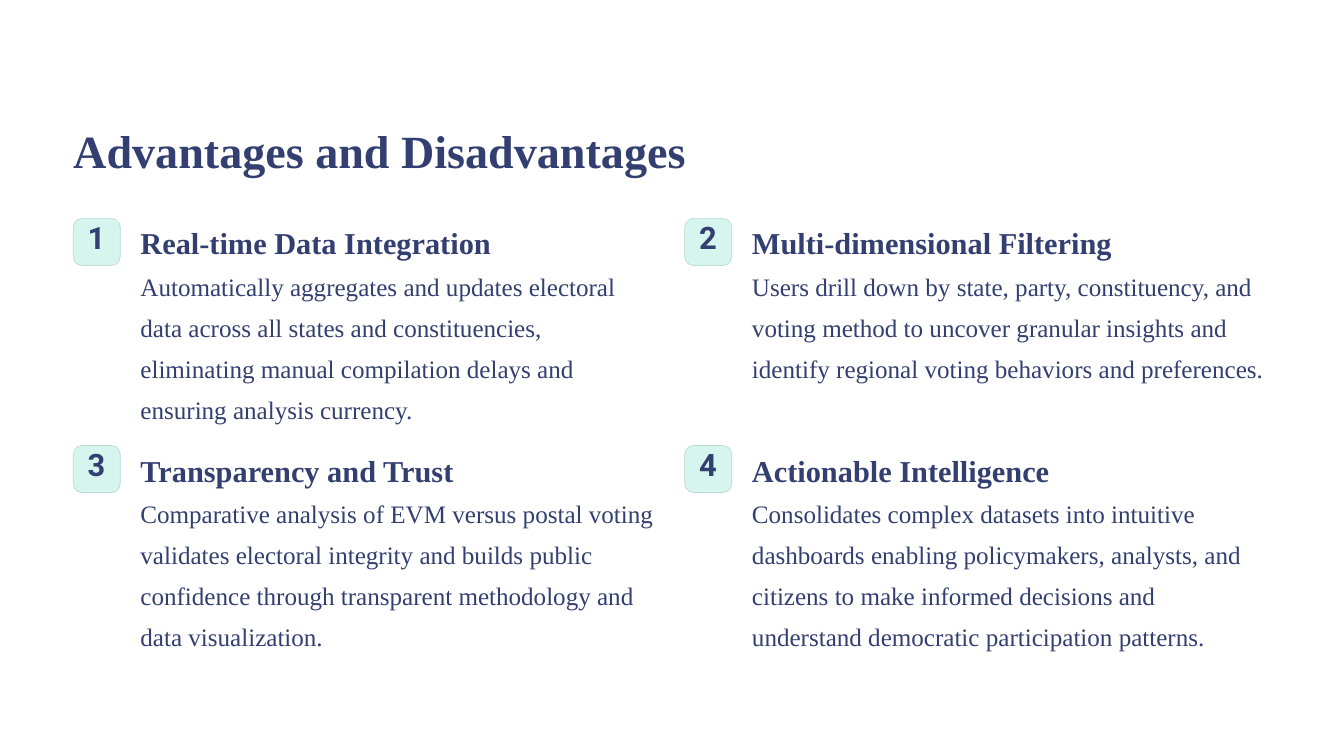
"""Build the Advantages and Disadvantages slide as a two-by-two grid of numbered points."""

from dataclasses import dataclass

import pptx
import pptx.dml.color
import pptx.enum.shapes
import pptx.enum.text
import pptx.slide
import pptx.util

COLORS = {"background": "FFFFFF", "badge": "D6F5EE", "border": "BCDBD4", "text": "333F70"}
SLIDE_WIDTH, SLIDE_HEIGHT = 20, 11.25
GRID_LEFT, GRID_TOP = 1.09, 3.25
COLUMN_STEP, ROW_STEP = 9.1, 3.38
BADGE_SIZE = 0.7
TEXT_OFFSET = 1.0
BODY_LINE_HEIGHT = 0.6


@dataclass(frozen=True)
class TextStyle:
    font: str
    size: float
    line_spacing: float
    bold: bool = True
    centered: bool = False


@dataclass(frozen=True)
class Point:
    column: int
    row: int
    heading: str
    body: str
    body_lines: int = 4


TITLE = TextStyle("Times New Roman", 49.4, 61.9)
NUMBER = TextStyle("Roboto", 33.1, 33.1, centered=True)
HEADING = TextStyle("Times New Roman", 32.5, 40.6)
BODY = TextStyle("Times New Roman", 26.9, 43.8, bold=False)

POINTS = [
    Point(0, 0, "Real-time Data Integration",
          "Automatically aggregates and updates electoral data across all states and "
          "constituencies, eliminating manual compilation delays and ensuring analysis currency."),
    Point(1, 0, "Multi-dimensional Filtering",
          "Users drill down by state, party, constituency, and voting method to uncover "
          "granular insights and identify regional voting behaviors and preferences.", 3),
    Point(0, 1, "Transparency and Trust",
          "Comparative analysis of EVM versus postal voting validates electoral integrity and "
          "builds public confidence through transparent methodology and data visualization."),
    Point(1, 1, "Actionable Intelligence",
          "Consolidates complex datasets into intuitive dashboards enabling policymakers, "
          "analysts, and citizens to make informed decisions and understand democratic "
          "participation patterns."),
]


def color(name: str) -> pptx.dml.color.RGBColor:
    return pptx.dml.color.RGBColor.from_string(COLORS[name])


def add_text(slide: pptx.slide.Slide, text: str, style: TextStyle,
             left: float, top: float, width: float, height: float) -> None:
    shape = slide.shapes.add_textbox(*map(pptx.util.Inches, (left, top, width, height)))
    frame = shape.text_frame
    frame.word_wrap = True
    frame.auto_size = pptx.enum.text.MSO_AUTO_SIZE.SHAPE_TO_FIT_TEXT
    frame.margin_left = frame.margin_top = frame.margin_right = frame.margin_bottom = 0
    paragraph = frame.paragraphs[0]
    paragraph.text = text
    paragraph.line_spacing = pptx.util.Pt(style.line_spacing)
    if style.centered:
        paragraph.alignment = pptx.enum.text.PP_ALIGN.CENTER
    paragraph.font.name = style.font
    paragraph.font.size = pptx.util.Pt(style.size)
    paragraph.font.bold = style.bold
    paragraph.font.color.rgb = color("text")


def add_badge(slide: pptx.slide.Slide, number: int, left: float, top: float) -> None:
    shape = slide.shapes.add_shape(
        pptx.enum.shapes.MSO_SHAPE.ROUNDED_RECTANGLE,
        *map(pptx.util.Inches, (left, top, BADGE_SIZE, BADGE_SIZE)))
    shape.adjustments[0] = 0.19
    shape.shadow.inherit = False
    shape.fill.solid()
    shape.fill.fore_color.rgb = color("badge")
    shape.line.color.rgb = color("border")
    shape.line.width = pptx.util.Pt(0.75)
    add_text(slide, str(number), NUMBER, left + 0.11, top + 0.1, 0.47, 0.54)


def add_point(slide: pptx.slide.Slide, number: int, point: Point) -> None:
    left = GRID_LEFT + point.column * COLUMN_STEP
    top = GRID_TOP + point.row * ROW_STEP
    add_badge(slide, number, left, top)
    add_text(slide, point.heading, HEADING, left + TEXT_OFFSET, top + 0.07, 6.47, 0.58)
    add_text(slide, point.body, BODY, left + TEXT_OFFSET, top + 0.63,
             7.71, point.body_lines * BODY_LINE_HEIGHT)


def main() -> None:
    presentation = pptx.Presentation()
    presentation.slide_width = pptx.util.Inches(SLIDE_WIDTH)
    presentation.slide_height = pptx.util.Inches(SLIDE_HEIGHT)
    slide = presentation.slides.add_slide(presentation.slide_layouts[6])
    slide.background.fill.solid()
    slide.background.fill.fore_color.rgb = color("background")
    add_text(slide, "Advantages and Disadvantages", TITLE, GRID_LEFT, 1.79, 12.66, 0.88)
    for number, point in enumerate(POINTS, start=1):
        add_point(slide, number, point)
    presentation.save("out.pptx")


if __name__ == "__main__":
    main()
